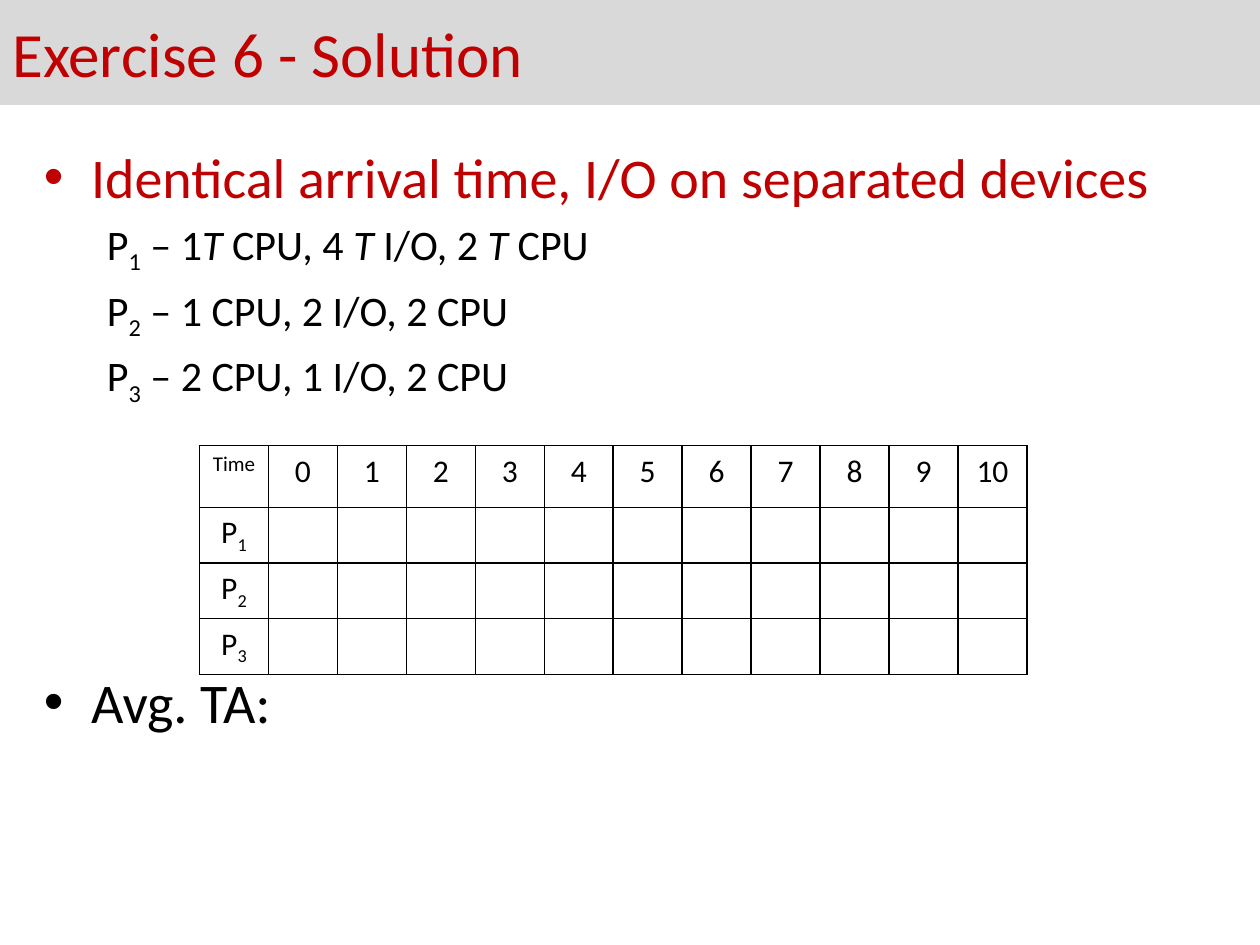
"""Build the scheduling exercise slide with its process table."""
from dataclasses import dataclass

from lxml import etree
from pptx import Presentation
from pptx.dml import color
from pptx.enum import shapes, text
from pptx.oxml import ns
from pptx.util import Pt

RED, BLACK, GREY = "C00000", "000000", "D9D9D9"
FACE = "Calibri"
TIMES = range(11)
TASKS = ("1", "2", "3")
COL, HEAD, ROW = 39.42, 35.3, 31


@dataclass
class Span:
    words: str
    sub: bool = False
    slant: bool = False


@dataclass
class Line:
    spans: list[Span]
    size: float
    tint: str = BLACK
    gap: float = 0
    left: float = 0
    hang: float = 0
    dot: bool = False


def hue(code: str) -> color.RGBColor:
    return color.RGBColor.from_string(code)


def style(run, size: float, tint: str = BLACK) -> None:
    run.font.name = FACE
    run.font.size = Pt(size)
    run.font.color.rgb = hue(tint)


def task(num: str, *rest: Span) -> list[Span]:
    return [Span("P"), Span(num, sub=True), *rest]


def write(para, spans: list[Span], size: float, tint: str = BLACK) -> None:
    for span in spans:
        run = para.add_run()
        run.text = span.words
        style(run, size, tint)
        if span.slant:
            run.font.italic = True
        if span.sub:
            run.font._element.set("baseline", "-25000")


def draw_line(para, line: Line) -> None:
    props = para._p.get_or_add_pPr()
    props.set("marL", str(Pt(line.left)))
    props.set("indent", str(Pt(line.hang)))
    if line.dot:
        shade = etree.SubElement(props, ns.qn("a:buClr"))
        etree.SubElement(shade, ns.qn("a:srgbClr"), val=line.tint)
        etree.SubElement(props, ns.qn("a:buFont"), typeface="Arial")
        etree.SubElement(props, ns.qn("a:buChar"), char="•")
    para.space_before = Pt(line.gap)
    write(para, line.spans, line.size, line.tint)


def draw_title(slide) -> None:
    bar = slide.shapes.add_shape(
        shapes.MSO_SHAPE.RECTANGLE, Pt(0), Pt(0), Pt(720), Pt(60))
    bar.shadow.inherit = False
    bar.fill.solid()
    bar.fill.fore_color.rgb = hue(GREY)
    bar.line.fill.background()
    frame = bar.text_frame
    frame.text = "Exercise 6 - Solution"
    frame.vertical_anchor = text.MSO_ANCHOR.MIDDLE
    para = frame.paragraphs[0]
    para.alignment = text.PP_ALIGN.LEFT
    style(para.runs[0], 36, RED)


def draw_body(slide, lines: list[Line]) -> None:
    box = slide.shapes.add_textbox(Pt(18), Pt(78), Pt(684), Pt(444))
    frame = box.text_frame
    frame.word_wrap = True
    for num, line in enumerate(lines):
        para = frame.add_paragraph() if num else frame.paragraphs[0]
        draw_line(para, line)


def edge(cell) -> None:
    props = cell._tc.get_or_add_tcPr()
    for spot, side in enumerate(("lnL", "lnR", "lnT", "lnB")):
        rule = etree.Element(ns.qn(f"a:{side}"), w=str(Pt(0.96)))
        fill = etree.SubElement(rule, ns.qn("a:solidFill"))
        etree.SubElement(fill, ns.qn("a:srgbClr"), val=BLACK)
        props.insert(spot, rule)


def draw_table(slide) -> None:
    rows, cols = len(TASKS) + 1, len(TIMES) + 1
    grid = slide.shapes.add_table(
        rows, cols, Pt(114), Pt(254.7), Pt(COL * cols),
        Pt(HEAD + ROW * len(TASKS))).table
    grid.first_row = grid.horz_banding = False
    for col in grid.columns:
        col.width = Pt(COL)
    for num, row in enumerate(grid.rows):
        row.height = Pt(ROW if num else HEAD)
    for cell in grid.iter_cells():
        cell.fill.background()
        edge(cell)
        cell.text_frame.paragraphs[0].alignment = text.PP_ALIGN.CENTER
    for num, label in enumerate(["Time", *map(str, TIMES)]):
        para = grid.cell(0, num).text_frame.paragraphs[0]
        para.text = label
        style(para.runs[0], 18 if num else 12)
    for num, name in enumerate(TASKS, 1):
        write(grid.cell(num, 0).text_frame.paragraphs[0], task(name), 18)


def main() -> None:
    deck = Presentation()
    deck.slide_width, deck.slide_height = Pt(720), Pt(540)
    slide = deck.slides.add_slide(deck.slide_layouts[6])
    bursts = (
        [Span(" – 1"), Span("T", slant=True), Span(" CPU, 4 "),
         Span("T ", slant=True), Span("I/O, 2 "), Span("T", slant=True),
         Span(" CPU")],
        [Span(" – 1 CPU, 2 I/O, 2 CPU")],
        [Span(" – 2 CPU, 1 I/O, 2 CPU")],
    )
    top = Line([Span("Identical arrival time, I/O on separated devices")],
               32, RED, left=27, hang=-27, dot=True)
    jobs = [Line(task(num, *burst), 24, gap=4.8, left=58.5, hang=-22.5)
            for num, burst in zip(TASKS, bursts)]
    last = Line([Span("Avg. TA:")], 32, gap=149, left=27, hang=-27, dot=True)
    draw_title(slide)
    draw_body(slide, [top, *jobs, last])
    draw_table(slide)
    deck.save("out.pptx")


if __name__ == "__main__":
    main()
